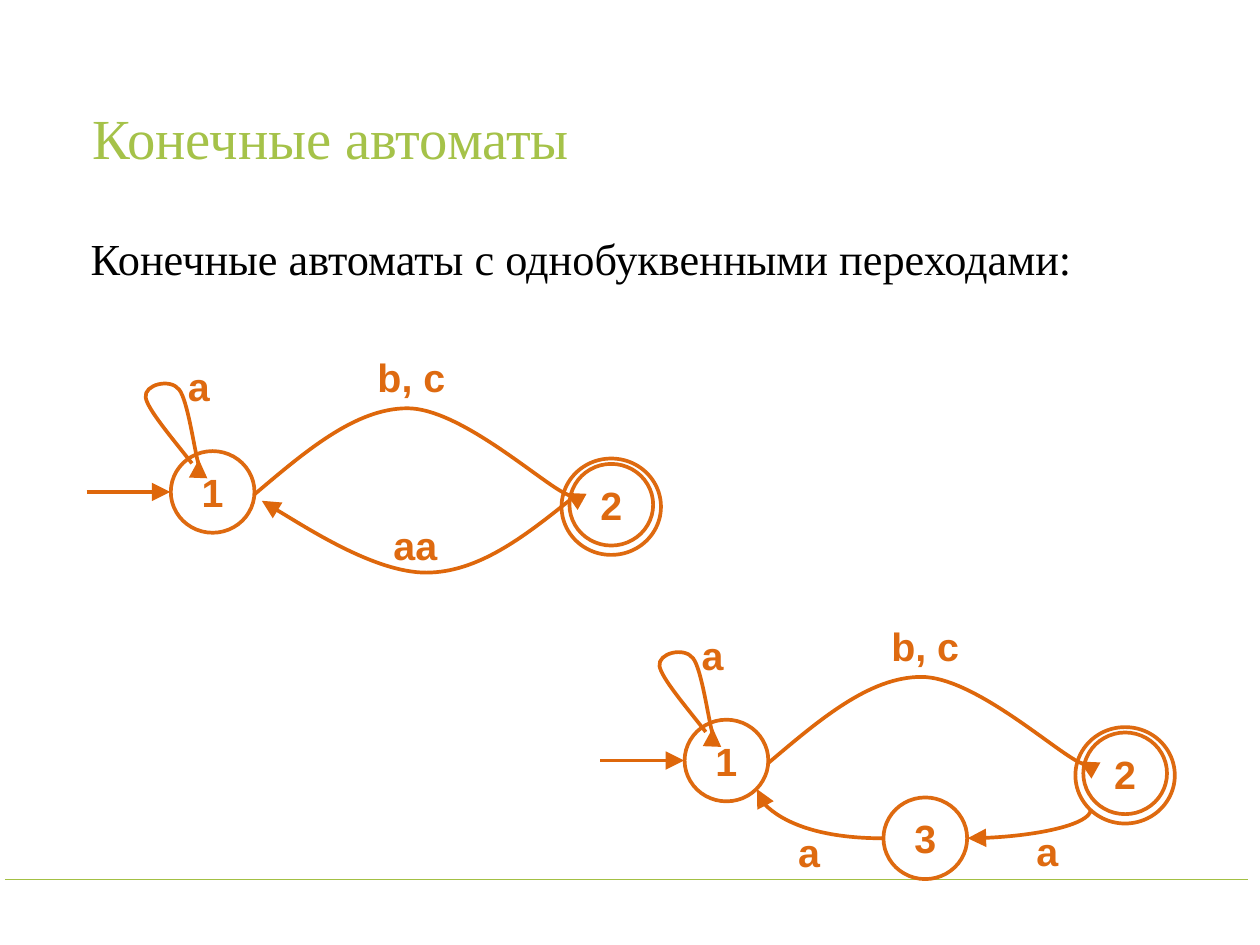
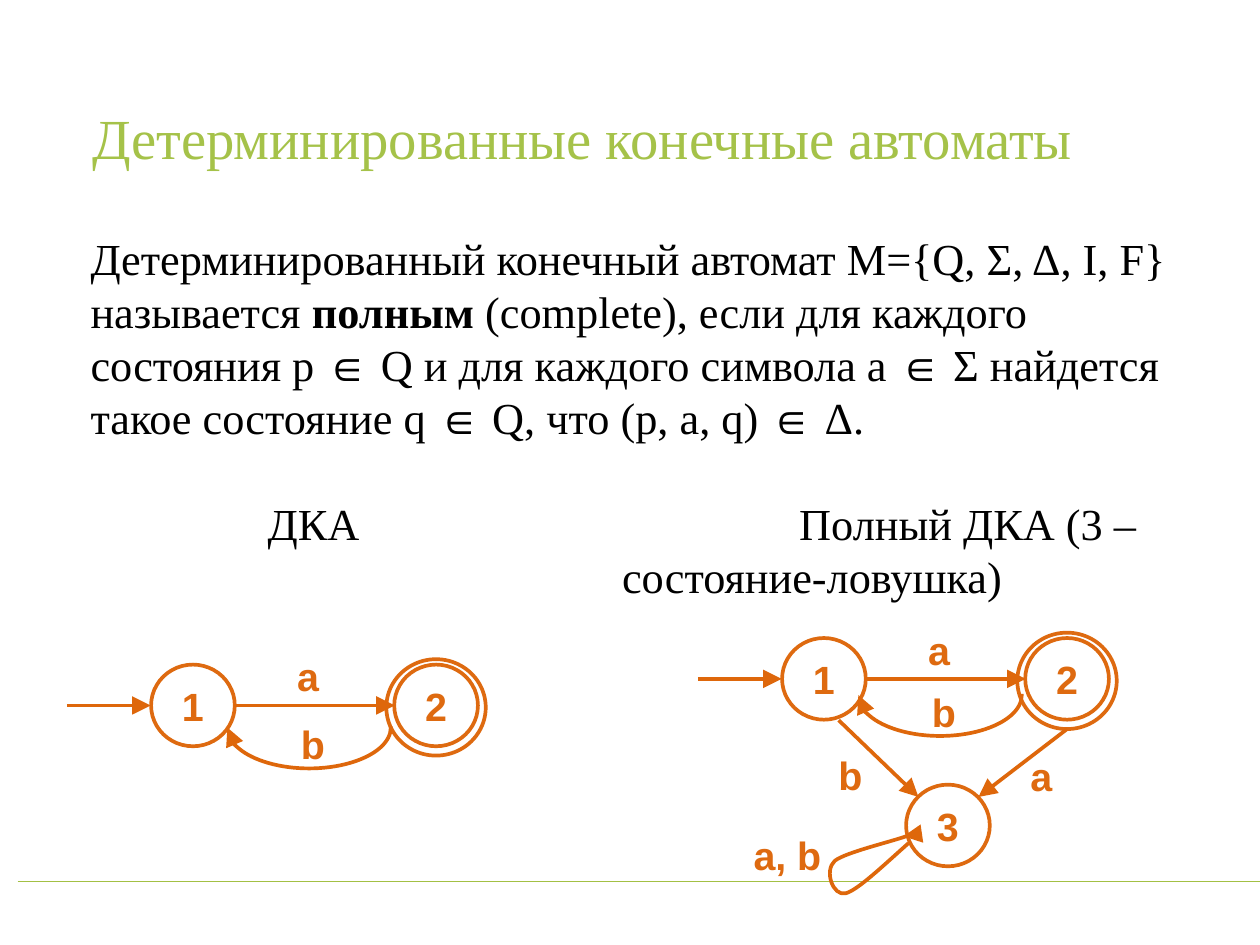
import pptx
import pptx.util
import pptx.dml.color
import pptx.enum.shapes
import pptx.enum.text
import pptx.oxml
import pptx.oxml.ns
import lxml.etree

RGB = pptx.dml.color.RGBColor
SHAPE = pptx.enum.shapes.MSO_SHAPE
ALIGN = pptx.enum.text.PP_ALIGN
ANCHOR = pptx.enum.text.MSO_ANCHOR

WHITE = RGB(0xFF, 0xFF, 0xFF)
BLACK = RGB(0x00, 0x00, 0x00)
TITLE_GREEN = RGB(0xA5, 0xC2, 0x49)
RULE_GREEN = RGB(0xA3, 0xC0, 0x44)
STATE_ORANGE = RGB(0xDE, 0x6A, 0x10)
EDGE_ORANGE = RGB(0xDE, 0x67, 0x0B)

WIDTH, HEIGHT = pptx.util.Inches(14.22), pptx.util.Inches(10.67)
CELL = WIDTH / 128  # the grid has 128 columns and 96 rows of square cells

TITLE = dict(name="Times New Roman", size=pptx.util.Pt(46), color=TITLE_GREEN)
BODY = dict(name="Times New Roman", size=pptx.util.Pt(36), color=BLACK)
LABEL = dict(name="Arial", size=pptx.util.Pt(32), bold=True, color=STATE_ORANGE)

STATE = (8.5, 8.3)
FINAL_RING = (10.1, 9.8)
LABEL_BOX = (9.4, 5.9)


def cells(n):
    """Turn a number of grid cells into a length."""
    return pptx.util.Emu(round(n * CELL))


class Deck:
    """Holds the presentation, the current slide and the drawing origin."""

    def __init__(self):
        """Start an empty presentation on the grid."""
        self.prs = pptx.Presentation()
        self.prs.slide_width, self.prs.slide_height = WIDTH, HEIGHT

    def slide(self, title, rule_x, rule_y):
        """Add a slide with its title and bottom rule."""
        s = self.prs.slides.add_slide(self.prs.slide_layouts[6])
        self.slide_shapes = self.shapes = s.shapes
        self.ox = self.oy = 0
        self.text(8.8, 5.1, 110.4, 18.5, [(title, {})], TITLE,
                  anchor=ANCHOR.MIDDLE, line_spacing=0.9)
        self.line((rule_x, rule_y), (rule_x + 126.3, rule_y), RULE_GREEN, 1, False)

    def automaton(self, x, y):
        """Open a group whose origin is the centre of state 1."""
        self.shapes = self.slide_shapes.add_group_shape().shapes
        self.ox, self.oy = x, y

    def at(self, x, y):
        """Place a point relative to the current origin."""
        return cells(self.ox + x), cells(self.oy + y)

    def fill_text(self, tf, runs, font, anchor, inset=0.6, **para):
        """Write one formatted paragraph into a text frame."""
        frame = dict(word_wrap=True, vertical_anchor=anchor)
        for side in ("left", "right", "top", "bottom"):
            frame["margin_" + side] = cells(inset)
        for key, value in frame.items():
            setattr(tf, key, value)
        p = tf.paragraphs[0]
        for key, value in para.items():
            setattr(p, key, value)
        for words, change in runs:
            r = p.add_run()
            r.text = words
            for key, value in {**font, **change}.items():
                if key == "color":
                    r.font.color.rgb = value
                else:
                    setattr(r.font, key, value)
        return p

    def text(self, x, y, w, h, runs, font, anchor=ANCHOR.TOP, **para):
        """Add a text box."""
        sp = self.shapes.add_textbox(*self.at(x, y), cells(w), cells(h))
        return self.fill_text(sp.text_frame, runs, font, anchor, **para)

    def label(self, x, y, words):
        """Add an edge label centred on a point."""
        w, h = LABEL_BOX
        self.text(x - w / 2, y - h / 2, w, h, [(words, {})], LABEL,
                  anchor=ANCHOR.MIDDLE, alignment=ALIGN.CENTER)

    def stroke(self, sp, color, width, arrow):
        """Set the line of a shape and its arrowhead."""
        sp.line.color.rgb = color
        sp.line.width = pptx.util.Pt(width)
        if arrow:
            tail = lxml.etree.SubElement(sp.line._get_or_add_ln(),
                                         pptx.oxml.ns.qn("a:tailEnd"))
            for key, value in dict(type="triangle", w="lg", len="lg").items():
                tail.set(key, value)

    def line(self, start, end, color=EDGE_ORANGE, width=3, arrow=True):
        """Add a straight line or arrow."""
        sp = self.shapes.add_connector(pptx.enum.shapes.MSO_CONNECTOR.STRAIGHT,
                                       *self.at(*start), *self.at(*end))
        self.stroke(sp, color, width, arrow)
        lxml.etree.SubElement(sp._element.spPr, pptx.oxml.ns.qn("a:effectLst"))

    def ellipse(self, x, y, size):
        """Add an outlined ellipse centred on a point."""
        w, h = size
        sp = self.shapes.add_shape(SHAPE.OVAL, *self.at(x - w / 2, y - h / 2),
                                   cells(w), cells(h))
        sp.shadow.inherit = False
        sp.fill.solid()
        sp.fill.fore_color.rgb = WHITE
        self.stroke(sp, STATE_ORANGE, 3, False)
        return sp

    def state(self, x, y, name, final=False):
        """Add a state; a final one gets a second ring."""
        if final:
            self.ellipse(x, y + 0.2, FINAL_RING)
        sp = self.ellipse(x, y, STATE)
        self.fill_text(sp.text_frame, [(name, {})], LABEL, ANCHOR.MIDDLE,
                       inset=0.5, alignment=ALIGN.CENTER)

    def start(self):
        """Add state 1 and the arrow that enters it."""
        self.state(0, 0, "1")
        self.line((-12.8, 0), (-4.3, 0))

    def curve(self, *points):
        """Add an arrow of cubic curves: a start, then three points each."""
        pts = [self.at(*pt) for pt in points]
        fb = self.shapes.build_freeform(*pts[0])
        fb.add_line_segments(pts[1:], close=False)
        sp = fb.convert_to_shape()
        sp.shadow.inherit = False
        sp.fill.background()
        self.stroke(sp, EDGE_ORANGE, 3, True)
        qn = pptx.oxml.ns.qn
        outline = next(sp._element.iter(qn("a:path")))
        segments = outline.findall(qn("a:lnTo"))
        for i in range(0, len(segments), 3):
            cubic = lxml.etree.SubElement(outline, qn("a:cubicBezTo"))
            for ln in segments[i:i + 3]:
                cubic.append(ln[0])
                outline.remove(ln)
        return sp

    def bend(self, start, corner, end):
        """Add a quarter-turn arrow that rounds a corner."""
        mids = [tuple((a + b) / 2 for a, b in zip(corner, pt)) for pt in (start, end)]
        self.curve(start, *mids, end)

    def arc(self, x, y, w, h):
        """Add the half-ellipse arrow that returns from state 2 to state 1."""
        sp = self.shapes.add_shape(SHAPE.ARC, *self.at(x, y), cells(w), cells(h))
        sp.shadow.inherit = False
        sp.fill.background()
        sp.rotation = 180
        sp.adjustments[0] = 107.47
        self.stroke(sp, EDGE_ORANGE, 3, True)

    def loop_and_arch(self):
        """Add states 1 and 2, the loop on 1 and the arch from 1 to 2."""
        self.start()
        self.state(40.5, 1.3, "2", final=True)
        self.curve((-2.1, -2.9), (-4.3, -5.7), (-6.6, -8.4), (-6.8, -9.6),
                   (-7, -10.9), (-4.3, -11.6), (-3.4, -10.4),
                   (-2.5, -9.3), (-1.8, -3.9), (-1.4, -2.7),
                   (-1.1, -1.5), (-1.3, -2.4), (-1.4, -3.3))
        self.curve((4.2, 0.3), (9.4, -4.1), (14.5, -8.5), (19.8, -8.5),
                   (25, -8.5), (33, -1.3), (35.7, 0.1),
                   (38.4, 1.4), (37.2, 0.8), (35.9, 0.1))
        self.label(-1.4, -10.8, "a")
        self.label(20.2, -11.7, "b, c")

    def there_and_back(self, sag):
        """Add states 1 and 2, edge a forward and arc b back."""
        self.start()
        self.state(24.7, 0, "2", final=True)
        self.line((4.2, 0), (20.5, 0))
        self.arc(3.5, sag - 1.9, 16.6, 8.3)
        self.label(11.7, -3, "a")
        self.label(12.2, sag + 3.9, "b")


def single_letter_slide(d):
    """Draw the slide on automata with one-letter edges."""
    d.slide("Конечные автоматы", 0.5, 89.4)
    d.text(8.6, 22.9, 112.8, 70.5,
           [("Конечные автоматы с однобуквенными переходами:", {})], BODY)

    d.automaton(21.6, 50)
    d.loop_and_arch()
    sp = d.curve((36.2, 0.9), (31.6, 4.6), (26.9, 8.2), (21.7, 8.2),
                 (16.5, 8.2), (5, 0.9), (5, 0.9))
    d.fill_text(sp.text_frame, [("aa", {})], LABEL, ANCHOR.BOTTOM, inset=0.45,
                alignment=ALIGN.CENTER)

    d.automaton(73.8, 77.3)
    d.loop_and_arch()
    d.state(20.2, 7.9, "3")
    d.bend((37, 5), (37, 7.9), (24.5, 7.9))
    d.bend((15.9, 7.9), (3.1, 7.9), (3.1, 2.9))
    d.label(32.6, 9.2, "a")
    d.label(8.4, 9.3, "a")


def complete_slide(d):
    """Draw the slide on complete deterministic automata."""
    d.slide("Детерминированные конечные автоматы", 1.8, 89.6)
    d.text(8.6, 22.9, 112.8, 26, [
        ("Детерминированный конечный автомат M={Q, Σ, Δ, I, F} называется ", {}),
        ("полным", dict(bold=True)),
        (" (complete), если для каждого состояния p ∈ Q и для каждого символа "
         "a ∈ Σ найдется такое состояние q ∈ Q, что (p, a, q) ∈ Δ.", {}),
    ], BODY)
    d.text(26.6, 49.8, 20, 6, [("ДКА", {})], BODY)
    p = d.text(62.6, 49.8, 58.8, 12, [("Полный ДКА (3 – состояние-ловушка)", {})],
               BODY)
    p._p.get_or_add_pPr().set("indent", str(cells(18)))

    d.automaton(19.6, 71.7)
    d.there_and_back(0)

    d.automaton(83.7, 69)
    d.there_and_back(-0.6)
    d.state(12.6, 14.9, "3")
    d.line((24.7, 5.1), (15.7, 12))
    d.line((1.5, 4.2), (9.6, 12))
    d.curve((8.6, 16.7), (5.9, 19.1), (3.4, 21.5), (2.2, 21.8),
            (0.9, 22.1), (0, 19.5), (1.1, 18.5),
            (2.2, 17.6), (7.5, 16.4), (8.6, 15.9),
            (9.8, 15.5), (8.9, 15.8), (8.1, 16))
    d.label(2.7, 9.7, "b")
    d.label(22.1, 9.8, "a")
    d.label(-3.7, 17.9, "a, b")


deck = Deck()
single_letter_slide(deck)
complete_slide(deck)
deck.prs.save("out.pptx")
